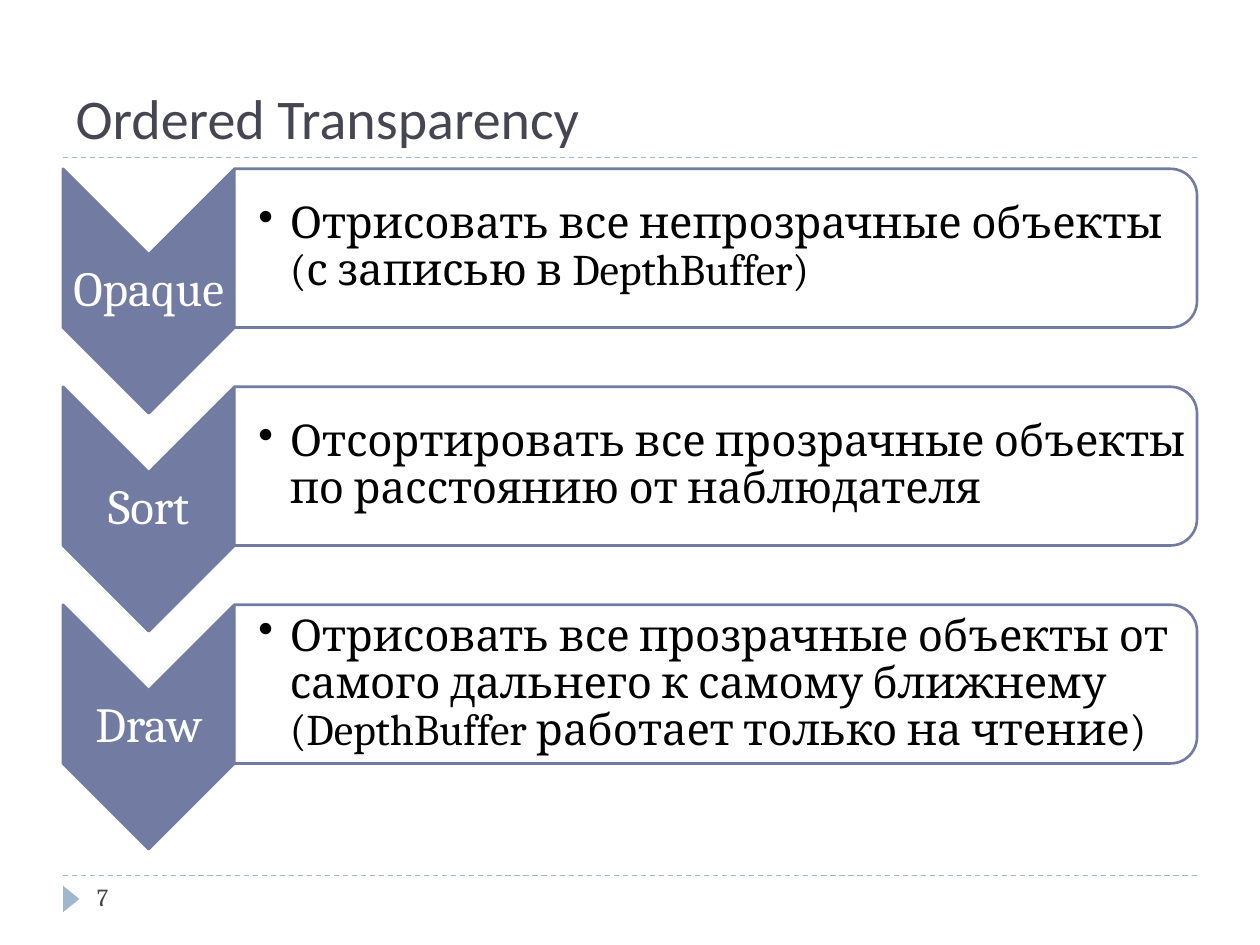
"""Build the slide on ordered transparency: three steps, each a chevron and a card."""
from typing import NamedTuple

from lxml import etree
from pptx import Presentation
from pptx import util as u
from pptx.dml.color import RGBColor
from pptx.enum import dml, shapes, text
from pptx.oxml.ns import qn

SLATE = RGBColor(0x72, 0x7C, 0xA3)
MIST = RGBColor(0x9F, 0xB8, 0xCD)
INK = RGBColor(0x46, 0x46, 0x53)
WHITE = RGBColor(0xFF, 0xFF, 0xFF)
BLACK = RGBColor(0, 0, 0)
CELL = u.Inches(0.1)
TOP, PITCH = 13.4, 17.3
LEFT, SPLIT, RIGHT = 5, 18.6, 95


class Box(NamedTuple):
    """Frame in grid cells, a hundred across the slide and 75 down."""
    x: float
    y: float
    w: float
    h: float

    def emu(self) -> list[int]:
        return [round(n * CELL) for n in self]

    def turned(self) -> "Box":
        gap = (self.w - self.h) / 2
        return Box(self.x + gap, self.y - gap, self.h, self.w)


class Step(NamedTuple):
    """One stage of the process."""
    name: str
    note: str


STEPS = [
    Step("Opaque", "Отрисовать все непрозрачные объекты (с записью в DepthBuffer)"),
    Step("Sort", "Отсортировать все прозрачные объекты по расстоянию от наблюдателя"),
    Step("Draw", "Отрисовать все прозрачные объекты от самого дальнего к самому "
                 "ближнему (DepthBuffer работает только на чтение)"),
]


def add_rule(slide, y: float) -> None:
    """Draw a dashed line across the content width."""
    ends = [round(n * CELL) for n in (LEFT, y, RIGHT, y)]
    rule = slide.shapes.add_connector(shapes.MSO_CONNECTOR.STRAIGHT, *ends)
    rule.line.color.rgb = MIST
    rule.line.width = u.Pt(0.75)
    rule.line.dash_style = dml.MSO_LINE.DASH
    etree.SubElement(rule._element.spPr, qn("a:effectLst"))


def add_form(slide, kind, box: Box, fill: RGBColor, edge: RGBColor | None = None):
    """Add a shape turned by a quarter so that it fills the given frame."""
    form = slide.shapes.add_shape(kind, *box.turned().emu())
    form.rotation = 90
    form.shadow.inherit = False
    form.fill.solid()
    form.fill.fore_color.rgb = fill
    if edge is None:
        form.line.fill.background()
    else:
        form.line.color.rgb = edge
        form.line.width = u.Pt(1.5)
    return form


def add_run(para, words: str, size: float, color: RGBColor, face: str = "Cambria") -> None:
    """Append one formatted run."""
    run = para.add_run()
    run.text = words
    run.font.size = u.Pt(size)
    run.font.name = face
    run.font.color.rgb = color


def add_text(slide, box: Box, pad: float = 0.02):
    """Add a wrapping, middle-anchored text box and return its first paragraph."""
    frame = slide.shapes.add_textbox(*box.emu()).text_frame
    frame.word_wrap = True
    frame.vertical_anchor = text.MSO_ANCHOR.MIDDLE
    frame.margin_left = u.Inches(pad)
    frame.margin_right = frame.margin_top = frame.margin_bottom = u.Inches(0.02)
    para = frame.paragraphs[0]
    para.line_spacing = 0.9
    return para


def add_bullet(para) -> None:
    """Give a paragraph a hanging round bullet."""
    props = para._p.get_or_add_pPr()
    props.set("marL", str(u.Inches(0.25)))
    props.set("indent", str(-u.Inches(0.25)))
    etree.SubElement(props, qn("a:buChar"), char="•")


def add_step(slide, step: Step, y: float) -> None:
    """Draw a chevron with its name and a card with its note."""
    wide = SPLIT - LEFT
    add_form(slide, shapes.MSO_SHAPE.CHEVRON, Box(LEFT, y, wide, 19.4), SLATE, SLATE)
    para = add_text(slide, Box(LEFT, y + 6.8, wide, 5.8))
    para.alignment = text.PP_ALIGN.CENTER
    add_run(para, step.name, 28, WHITE)

    card = add_form(slide, shapes.MSO_SHAPE.ROUND_2_SAME_RECTANGLE,
                    Box(SPLIT, y, RIGHT - SPLIT, 12.6), WHITE, SLATE)
    tint = card._element.spPr.find(qn("a:solidFill"))[0]
    etree.SubElement(tint, qn("a:alpha"), val="90000")
    para = add_text(slide, Box(SPLIT, y + 0.6, 75.8, 11.4), 0.19)
    add_bullet(para)
    add_run(para, step.note, 25, BLACK)


def add_title(slide, words: str) -> None:
    """Place and fill the title placeholder."""
    title = slide.shapes.title
    title.left, title.top, title.width, title.height = Box(LEFT, 1.7, 90, 10.8).emu()
    title.text_frame.vertical_anchor = text.MSO_ANCHOR.BOTTOM
    para = title.text_frame.paragraphs[0]
    para.alignment = text.PP_ALIGN.LEFT
    add_run(para, words, 32, INK, "Calibri")


def main() -> None:
    """Build and save the deck."""
    deck = Presentation()
    deck.slide_width, deck.slide_height = 100 * CELL, 75 * CELL
    slide = deck.slides.add_slide(deck.slide_layouts[5])
    for y in (69.5, 12.5):
        add_rule(slide, y)
    add_form(slide, shapes.MSO_SHAPE.ISOSCELES_TRIANGLE, Box(LEFT, 70.3, 1.3, 2.1), MIST)
    add_title(slide, "Ordered Transparency")
    add_run(add_text(slide, Box(6.7, 69.5, 21.7, 3.6), 0.1), "7", 14, INK)
    for row, step in enumerate(STEPS):
        add_step(slide, step, TOP + row * PITCH)
    deck.save("out.pptx")


if __name__ == "__main__":
    main()
